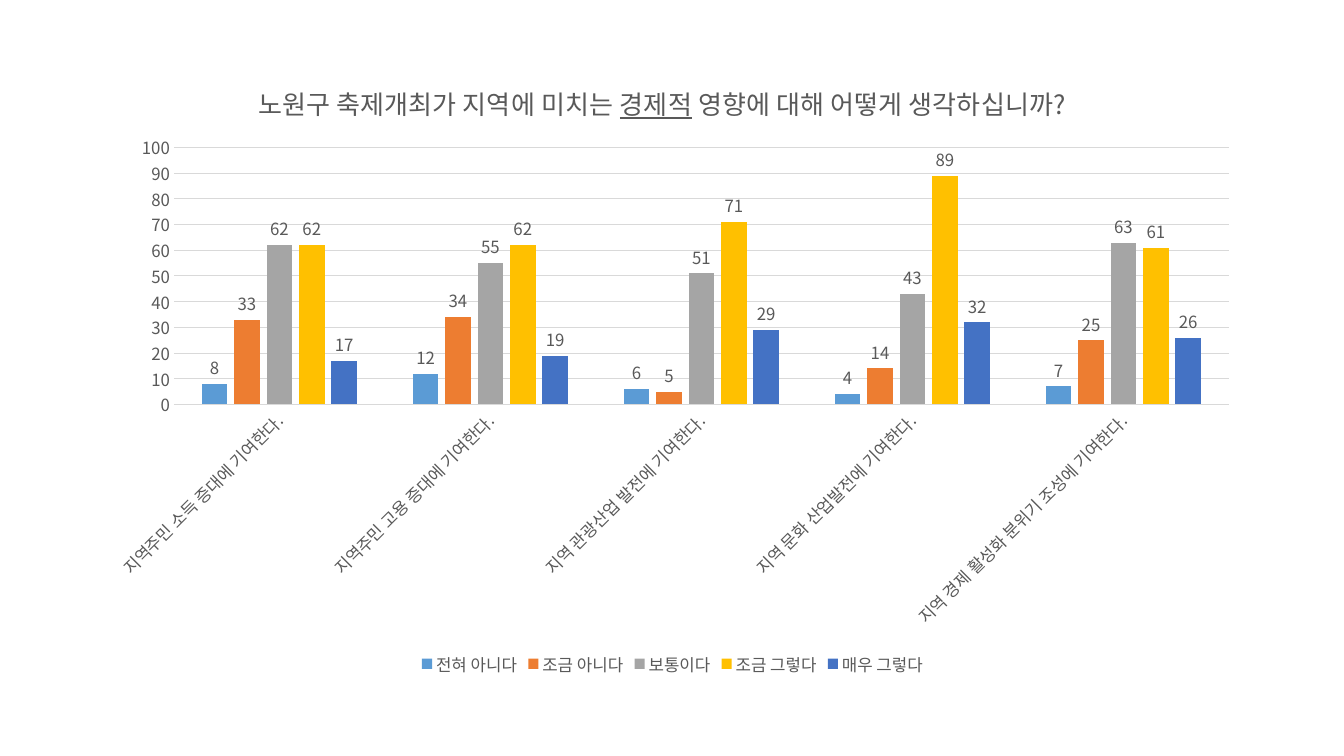
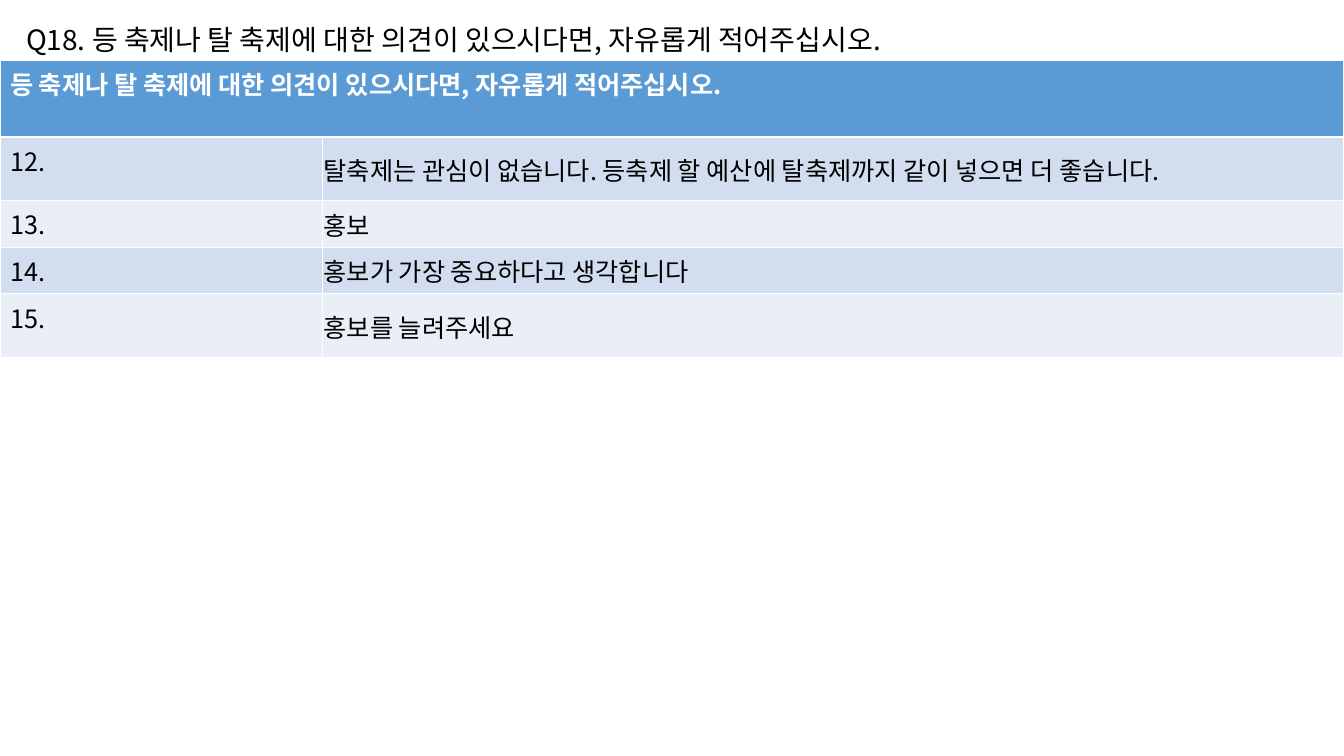
from typing import NamedTuple

from lxml import etree
from pptx import Presentation
from pptx import util as u
from pptx.chart.data import CategoryChartData
from pptx.dml.color import RGBColor
from pptx.enum import chart as ch, text
from pptx.oxml import ns

FONT = "Noto Sans CJK KR"
COLORS = {
    "black": "000000", "white": "FFFFFF", "label": "595959", "grid": "D9D9D9",
    "blue": "5B9BD5", "orange": "ED7D31", "gray": "A5A5A5",
    "gold": "FFC000", "navy": "4472C4", "band": "D2DEEF", "light": "EAEFF7",
}


class Answer(NamedTuple):
    name: str
    color: str
    values: tuple[int, ...]


class Opinion(NamedTuple):
    number: str
    remark: str
    height: float


STATEMENTS = (
    "지역주민 소득 증대에 기여한다.",
    "지역주민 고용 증대에 기여한다.",
    "지역 관광산업 발전에 기여한다.",
    "지역 문화 산업발전에 기여한다.",
    "지역 경제 활성화 분위기 조성에 기여한다.",
)
ANSWERS = (
    Answer("전혀 아니다", "blue", (8, 12, 6, 4, 7)),
    Answer("조금 아니다", "orange", (33, 34, 5, 14, 25)),
    Answer("보통이다", "gray", (62, 55, 51, 43, 63)),
    Answer("조금 그렇다", "gold", (62, 62, 71, 89, 61)),
    Answer("매우 그렇다", "navy", (17, 19, 29, 32, 26)),
)
QUESTION = "등 축제나 탈 축제에 대한 의견이 있으시다면, 자유롭게 적어주십시오."
OPINIONS = (
    Opinion("12.", "탈축제는 관심이 없습니다. 등축제 할 예산에 탈축제까지 같이 넣으면 더 좋습니다.", 0.63),
    Opinion("13.", "홍보", 0.41),
    Opinion("14.", "홍보가 가장 중요하다고 생각합니다", 0.41),
    Opinion("15.", "홍보를 늘려주세요", 0.63),
)


def rgb(name: str) -> RGBColor:
    return RGBColor.from_string(COLORS[name])


def style_font(font, size: float, color: str, bold: bool = False) -> None:
    """Set the font for Latin and East Asian text alike."""
    font.size, font.bold, font.name = u.Pt(size), bold, FONT
    font.color.rgb = rgb(color)
    ea = etree.Element(ns.qn("a:ea"), typeface=FONT)
    font._element.find(ns.qn("a:latin")).addnext(ea)


def set_layout(parent, after: str, inner: bool = False, **place: float) -> None:
    """Place a chart part by fractions of the chart's size."""
    for old in parent.findall(ns.qn("c:layout")):
        parent.remove(old)
    layout = etree.Element(ns.qn("c:layout"))
    manual = etree.SubElement(layout, ns.qn("c:manualLayout"))
    if inner:
        etree.SubElement(manual, ns.qn("c:layoutTarget"), val="inner")
    for mode in ("xMode", "yMode"):
        etree.SubElement(manual, ns.qn(f"c:{mode}"), val="edge")
    for key, value in place.items():
        etree.SubElement(manual, ns.qn(f"c:{key}"), val=str(value))
    previous = parent.find(ns.qn(after)) if after else None
    if previous is None:
        parent.insert(0, layout)
    else:
        previous.addnext(layout)


def style_title(chart) -> None:
    chart.has_title = True
    title = chart.chart_title
    p = title.text_frame.paragraphs[0]
    style_font(p.font, 18.6, "label")
    parts = ("노원구 축제개최가 지역에 미치는 ", "경제적",
             " 영향에 대해 어떻게 생각하십니까?")
    for part in parts:
        r = p.add_run()
        r.text = part
        style_font(r.font, 18.6, "label")
        r.font.underline = part == "경제적"
    title.include_in_layout = False
    set_layout(title._element, "c:tx", x=0.14, y=0.04)


def style_axes(chart) -> None:
    for axis in (chart.category_axis, chart.value_axis):
        axis.major_tick_mark = axis.minor_tick_mark = ch.XL_TICK_MARK.NONE
        style_font(axis.tick_labels.font, 12, "label")
    category, value = chart.category_axis, chart.value_axis
    value.minimum_scale, value.maximum_scale, value.major_unit = 0, 100, 10
    value.format.line.fill.background()
    for line in (category.format.line, value.major_gridlines.format.line):
        line.color.rgb, line.width = rgb("grid"), u.Pt(0.75)
    body = category._element.find(ns.qn("c:txPr")).find(ns.qn("a:bodyPr"))
    body.set("rot", str(-45 * 60000))


def add_impact_slide(prs) -> None:
    s = prs.slides.add_slide(prs.slide_layouts[6])
    data = CategoryChartData(number_format="General")
    data.categories = STATEMENTS
    for answer in ANSWERS:
        data.add_series(answer.name, answer.values)
    chart = s.shapes.add_chart(
        ch.XL_CHART_TYPE.COLUMN_CLUSTERED, u.Inches(0.92), u.Inches(0.53),
        u.Inches(11.5), u.Inches(6.22), data).chart
    style_font(chart.font, 10, "black")
    style_title(chart)
    style_axes(chart)

    plot = chart.plots[0]
    plot.gap_width, plot.overlap, plot.vary_by_categories = 219, -27, False
    for series, answer in zip(plot.series, ANSWERS):
        series.format.fill.solid()
        series.format.fill.fore_color.rgb = rgb(answer.color)
        series.invert_if_negative = False
        labels = series.data_labels
        labels.show_value = True
        labels.position = ch.XL_LABEL_POSITION.OUTSIDE_END
        style_font(labels.font, 12, "label")

    chart.has_legend = True
    chart.legend.position = ch.XL_LEGEND_POSITION.BOTTOM
    chart.legend.include_in_layout = False
    style_font(chart.legend.font, 12, "label")
    plot_area = chart._chartSpace.chart.plotArea
    set_layout(plot_area, "", inner=True, x=0.07, y=0.15, w=0.91, h=0.41)


def fill_cell(cell, content: str, fill: str, color: str = "black",
              bold: bool = False) -> None:
    cell.fill.solid()
    cell.fill.fore_color.rgb = rgb(fill)
    p = cell.text_frame.paragraphs[0]
    p.text = content
    style_font(p.font, 18, color, bold)


def add_opinion_slide(prs) -> None:
    s = prs.slides.add_slide(prs.slide_layouts[6])
    heights = [0.76] + [opinion.height for opinion in OPINIONS]
    table = s.shapes.add_table(
        len(heights), 2, 0, u.Inches(0.6), prs.slide_width,
        u.Inches(sum(heights))).table
    for column, width in zip(table.columns, (3.2, 10.13)):
        column.width = u.Inches(width)
    for row, height in zip(table.rows, heights):
        row.height = u.Inches(height)

    header = table.cell(0, 0)
    header.merge(table.cell(0, 1))
    fill_cell(header, QUESTION, "blue", "white", bold=True)
    for i, opinion in enumerate(OPINIONS, start=1):
        fill = "band" if i % 2 else "light"
        fill_cell(table.cell(i, 0), opinion.number, fill)
        remark = table.cell(i, 1)
        fill_cell(remark, opinion.remark, fill)
        remark.vertical_anchor = text.MSO_ANCHOR.MIDDLE
        remark.margin_left = remark.margin_right = u.Inches(0.01)
        remark.margin_top, remark.margin_bottom = u.Inches(0.01), 0

    box = s.shapes.add_textbox(
        u.Inches(0.16), u.Inches(0.17), u.Inches(9.65), u.Inches(0.44))
    tf = box.text_frame
    tf.word_wrap = False
    tf.auto_size = text.MSO_AUTO_SIZE.SHAPE_TO_FIT_TEXT
    p = tf.paragraphs[0]
    p.text = f"Q18. {QUESTION}"
    style_font(p.font, 20, "black")


def main() -> None:
    prs = Presentation()
    prs.slide_width, prs.slide_height = u.Inches(13.33), u.Inches(7.5)
    add_impact_slide(prs)
    add_opinion_slide(prs)
    prs.save("out.pptx")


if __name__ == "__main__":
    main()
